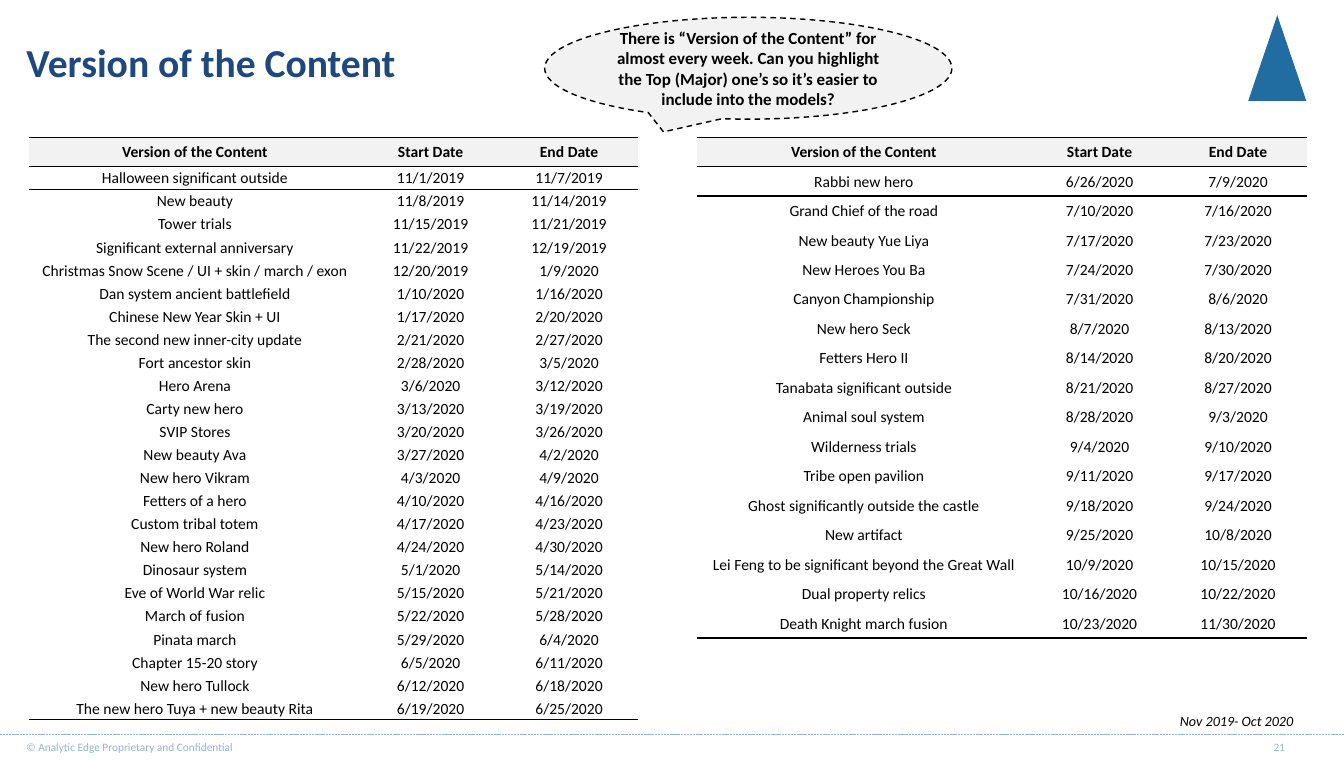
from lxml import etree
from pptx import Presentation
from pptx.dml.color import RGBColor
from pptx.enum.dml import MSO_LINE
from pptx.enum.shapes import MSO_CONNECTOR, MSO_SHAPE
from pptx.enum.text import MSO_ANCHOR, PP_ALIGN
from pptx.oxml.ns import qn
from pptx.util import Inches, Pt

LEFT, MID = PP_ALIGN.LEFT, PP_ALIGN.CENTER
TOP, CENTER, BOTTOM = MSO_ANCHOR.TOP, MSO_ANCHOR.MIDDLE, MSO_ANCHOR.BOTTOM
DASH, DOTS = MSO_LINE.DASH, MSO_LINE.SQUARE_DOT
STRAIGHT = MSO_CONNECTOR.STRAIGHT
BUBBLE, WEDGE = MSO_SHAPE.OVAL_CALLOUT, MSO_SHAPE.ISOSCELES_TRIANGLE
PLAIN = "{2D5ABB26-0587-4C30-8999-92F81FD0307C}"
BLACK, GREY, NAVY, PALE, BLUE = "000000", "F2F2F2", "1F497D", "95B3D7", "216CA0"

HEAD = ("Version of the Content", "Start Date", "End Date")
EARLY = [
    ("Halloween significant outside", "11/1/2019", "11/7/2019"),
    ("New beauty", "11/8/2019", "11/14/2019"),
    ("Tower trials", "11/15/2019", "11/21/2019"),
    ("Significant external anniversary", "11/22/2019", "12/19/2019"),
    ("Christmas Snow Scene / UI + skin / march / exon", "12/20/2019", "1/9/2020"),
    ("Dan system ancient battlefield", "1/10/2020", "1/16/2020"),
    ("Chinese New Year Skin + UI", "1/17/2020", "2/20/2020"),
    ("The second new inner-city update", "2/21/2020", "2/27/2020"),
    ("Fort ancestor skin", "2/28/2020", "3/5/2020"),
    ("Hero Arena", "3/6/2020", "3/12/2020"),
    ("Carty new hero", "3/13/2020", "3/19/2020"),
    ("SVIP Stores", "3/20/2020", "3/26/2020"),
    ("New beauty Ava", "3/27/2020", "4/2/2020"),
    ("New hero Vikram", "4/3/2020", "4/9/2020"),
    ("Fetters of a hero", "4/10/2020", "4/16/2020"),
    ("Custom tribal totem", "4/17/2020", "4/23/2020"),
    ("New hero Roland", "4/24/2020", "4/30/2020"),
    ("Dinosaur system", "5/1/2020", "5/14/2020"),
    ("Eve of World War relic", "5/15/2020", "5/21/2020"),
    ("March of fusion", "5/22/2020", "5/28/2020"),
    ("Pinata march", "5/29/2020", "6/4/2020"),
    ("Chapter 15-20 story", "6/5/2020", "6/11/2020"),
    ("New hero Tullock", "6/12/2020", "6/18/2020"),
    ("The new hero Tuya + new beauty Rita", "6/19/2020", "6/25/2020"),
]
LATE = [
    ("Rabbi new hero", "6/26/2020", "7/9/2020"),
    ("Grand Chief of the road", "7/10/2020", "7/16/2020"),
    ("New beauty Yue Liya", "7/17/2020", "7/23/2020"),
    ("New Heroes You Ba", "7/24/2020", "7/30/2020"),
    ("Canyon Championship", "7/31/2020", "8/6/2020"),
    ("New hero Seck", "8/7/2020", "8/13/2020"),
    ("Fetters Hero II", "8/14/2020", "8/20/2020"),
    ("Tanabata significant outside", "8/21/2020", "8/27/2020"),
    ("Animal soul system", "8/28/2020", "9/3/2020"),
    ("Wilderness trials", "9/4/2020", "9/10/2020"),
    ("Tribe open pavilion", "9/11/2020", "9/17/2020"),
    ("Ghost significantly outside the castle", "9/18/2020", "9/24/2020"),
    ("New artifact", "9/25/2020", "10/8/2020"),
    ("Lei Feng to be significant beyond the Great Wall", "10/9/2020", "10/15/2020"),
    ("Dual property relics", "10/16/2020", "10/22/2020"),
    ("Death Knight march fusion", "10/23/2020", "11/30/2020"),
]


def color(code):
    return RGBColor.from_string(code)


def write(frame, text, size, code, align=LEFT, bold=False, italic=False):
    frame.text = text
    para = frame.paragraphs[0]
    para.alignment = align
    font = para.runs[0].font
    font.name, font.size = "Calibri", Pt(size)
    font.bold, font.italic = bold, italic
    font.color.rgb = color(code)


def label(slide, box, text, size, code, align=LEFT, anchor=TOP, italic=False):
    frame = slide.shapes.add_textbox(*map(Inches, box)).text_frame
    frame.word_wrap = True
    frame.vertical_anchor = anchor
    write(frame, text, size, code, align, italic=italic)


def rule(cell, side):
    """Draw a 1 pt black border on one side of a cell."""
    line = etree.SubElement(cell._tc.get_or_add_tcPr(), qn("a:ln" + side), w="12700")
    fill = etree.SubElement(line, qn("a:solidFill"))
    etree.SubElement(fill, qn("a:srgbClr"), val=BLACK)


def header(slide, x, y):
    title = slide.shapes.title
    title.left, title.top = Inches(x), Inches(y)
    title.width, title.height = Inches(11.88), Inches(0.86)
    title.text_frame.vertical_anchor = CENTER
    write(title.text_frame, "Version of the Content", 28, NAVY, bold=True)
    mark = slide.shapes.add_shape(WEDGE, Inches(x + 12.1), Inches(y - 0.03),
                                  Inches(0.57), Inches(0.84))
    mark.shadow.inherit = False
    mark.fill.solid()
    mark.fill.fore_color.rgb = color(BLUE)
    mark.line.fill.background()


def grid(slide, x, y, high, data):
    top, wide = 0.27, (3.27, 1.36, 1.36)
    rows = [HEAD] + data
    table = slide.shapes.add_table(len(rows), len(wide), Inches(x), Inches(y),
                                   Inches(sum(wide)), Inches(high)).table
    table.first_row = table.horz_banding = False
    table._tbl.tblPr.find(qn("a:tableStyleId")).text = PLAIN
    for col, width in zip(table.columns, wide):
        col.width = Inches(width)
    for r, row in enumerate(rows):
        first, last = r == 0, r == len(data)
        table.rows[r].height = Inches(top if first else (high - top) / len(data))
        for c, text in enumerate(row):
            cell = table.cell(r, c)
            cell.vertical_anchor = CENTER
            write(cell.text_frame, text, 11, BLACK, MID, bold=first)
            if r < 2:
                rule(cell, "T")
            if first or last:
                rule(cell, "B")
            if first:
                cell.fill.solid()
                cell.fill.fore_color.rgb = color(GREY)
            else:
                cell.fill.background()
                cell.margin_left = cell.margin_right = cell.margin_top = Inches(0.01)
                cell.margin_bottom = 0


def remark(slide, x, y, wide, high):
    shape = slide.shapes.add_shape(BUBBLE, *map(Inches, (x, y, wide, high)))
    shape.shadow.inherit = False
    shape.fill.solid()
    shape.fill.fore_color.rgb = color(GREY)
    shape.line.color.rgb = color(BLACK)
    shape.line.width = Pt(1)
    shape.line.dash_style = DASH
    frame = shape.text_frame
    frame.word_wrap = True
    frame.vertical_anchor = CENTER
    write(frame, "There is “Version of the Content” for almost every week. "
          "Can you highlight the Top (Major) one’s so it’s easier to include "
          "into the models?", 12, BLACK, MID, bold=True)


def footer(slide, y, wide):
    line = slide.shapes.add_connector(STRAIGHT, 0, Inches(y), Inches(wide), Inches(y))
    line.line.color.rgb = color(PALE)
    line.line.width = Pt(0.5)
    line.line.dash_style = DOTS
    etree.SubElement(line._element.spPr, qn("a:effectLst"))
    label(slide, (0.16, y + 0.01, 2.77, 0.4),
          "© Analytic Edge Proprietary and Confidential", 8, PALE)
    label(slide, (wide - 0.95, y + 0.01, 0.63, 0.4), "21", 8, PALE, MID)
    label(slide, (wide - 1.71, y - 0.27, 1.35, 0.27), "Nov 2019- Oct 2020",
          10, BLACK, anchor=BOTTOM, italic=True)


def main():
    deck = Presentation()
    deck.slide_width, deck.slide_height = Inches(13.2), Inches(7.5)
    slide = deck.slides.add_slide(deck.slide_layouts[5])
    header(slide, 0.16, 0.18)
    footer(slide, 7.21, 13.2)
    grid(slide, 0.28, 1.35, 5.71, EARLY)
    grid(slide, 6.85, 1.35, 4.9, LATE)
    remark(slide, 5.35, 0.17, 4, 1)
    deck.save("out.pptx")


if __name__ == "__main__":
    main()
